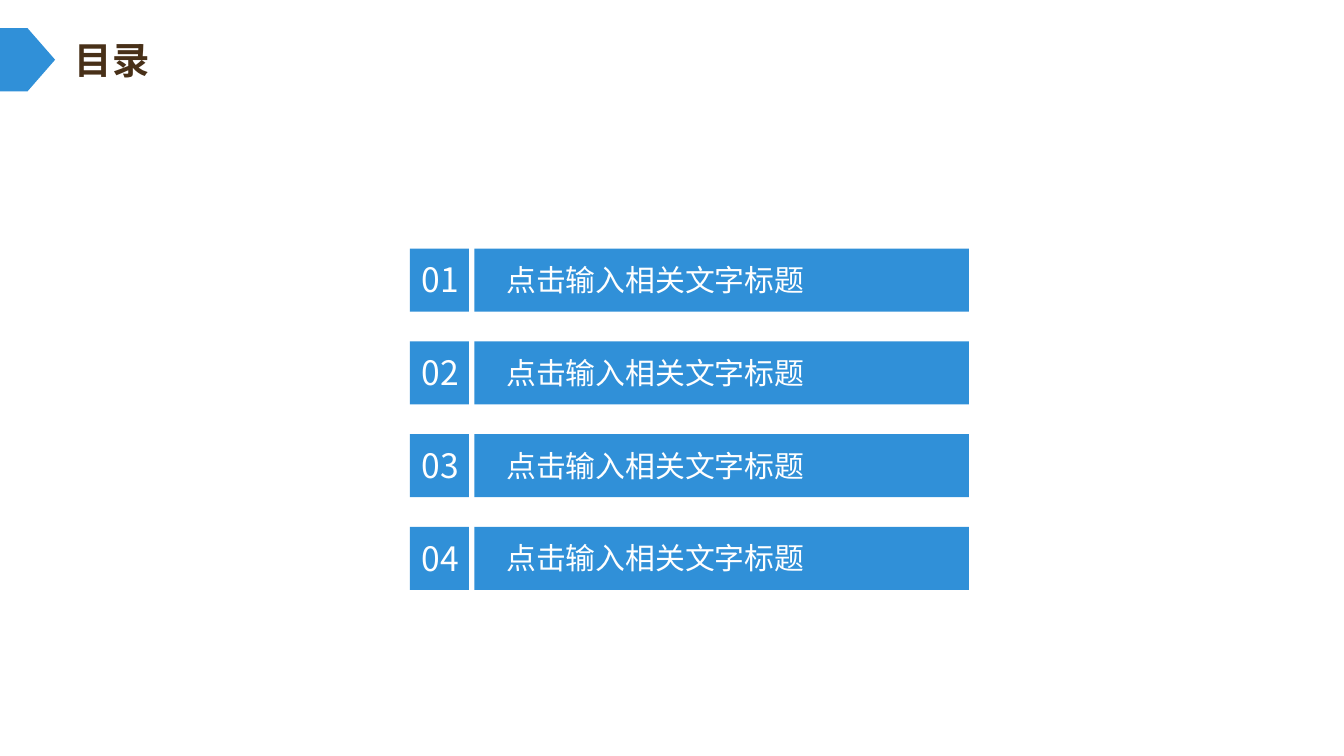
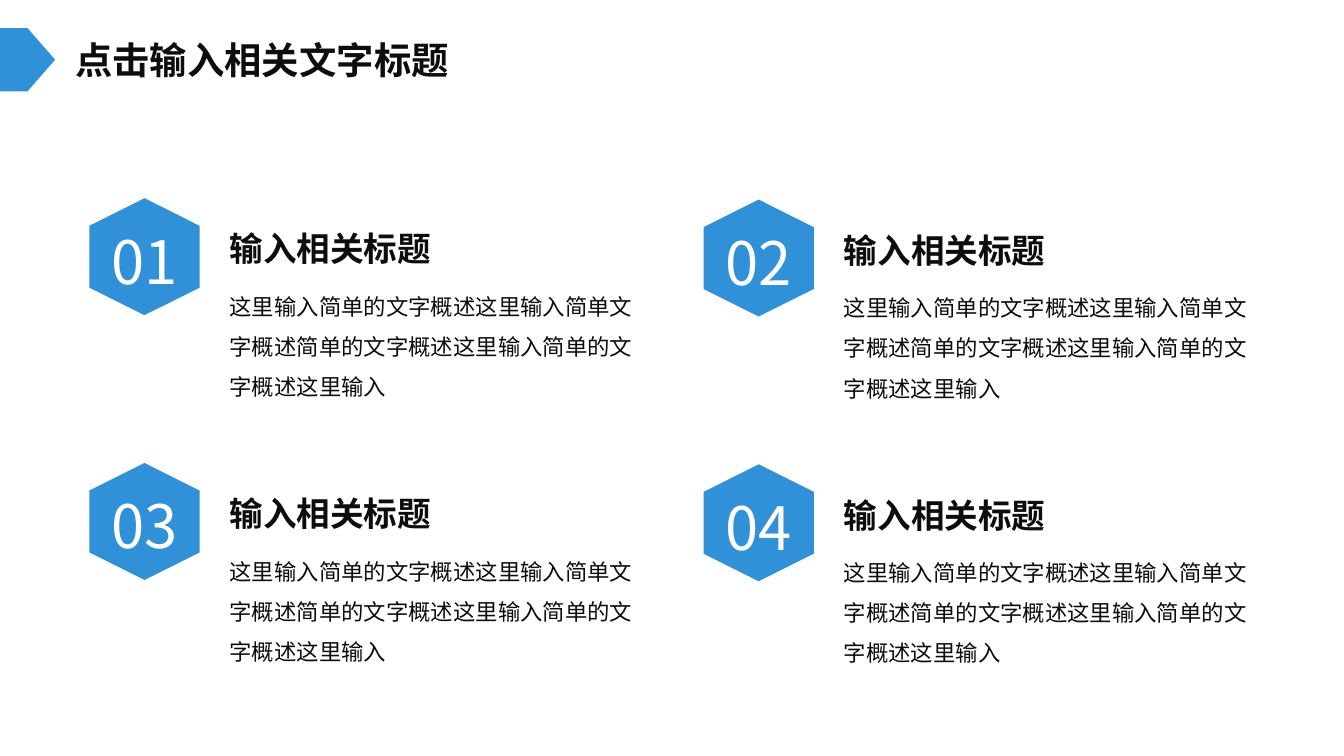
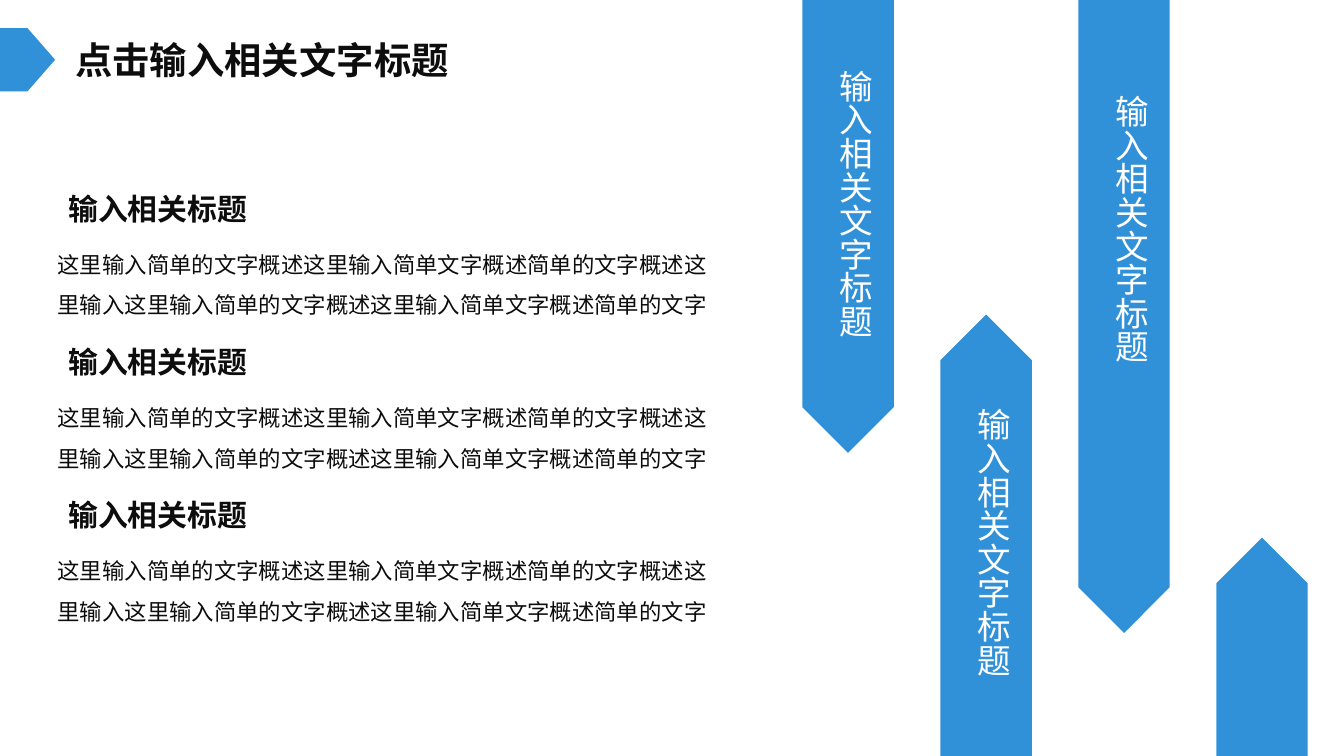
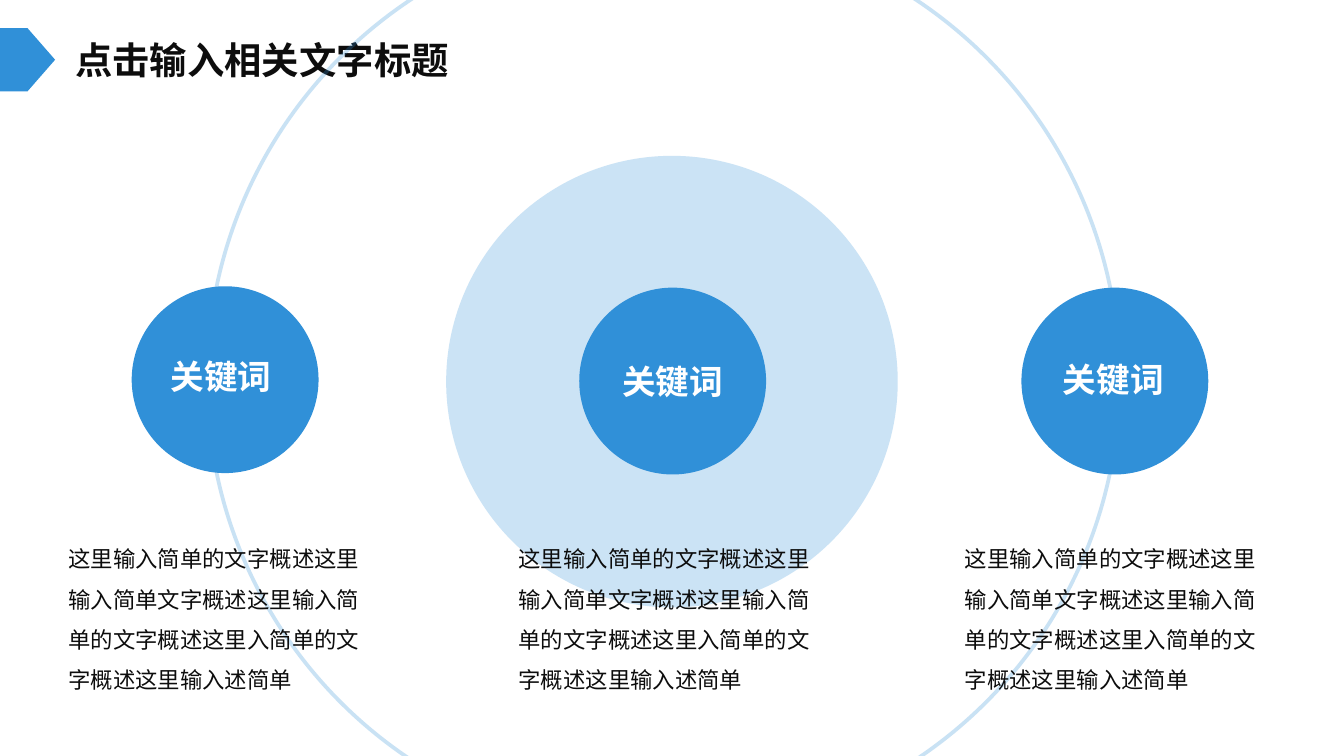
from lxml.etree import SubElement
from pptx import Presentation
from pptx.dml.color import RGBColor
from pptx.enum.shapes import MSO_SHAPE
from pptx.enum.text import MSO_AUTO_SIZE
from pptx.oxml.ns import qn
from pptx.util import Inches, Pt

BLUE = RGBColor(0x30, 0x90, 0xD8)
BROWN = RGBColor(0x48, 0x30, 0x18)
INK = RGBColor(0x0D, 0x0D, 0x0D)
WHITE = RGBColor(0xFF, 0xFF, 0xFF)
FONT = "Noto Sans CJK SC"

TITLE = "点击输入相关文字标题"
HEAD = "输入相关标题"
LABEL = "输入相关文字标题"
KEY = "关键词"
CARD = "这里输入简单的文字概述这里输入简单文字概述简单的文字概述这里输入简单的文字概述这里输入"
NOTE = "这里输入简单的文字概述这里输入简单文字概述简单的文字概述这里输入这里输入简单的文字概述这里输入简单文字概述简单的文字"
BRIEF = "这里输入简单的文字概述这里输入简单文字概述这里输入简单的文字概述这里入简单的文字概述这里输入述简单"


# Shared helpers
def add_text(shapes, text, x, y, w, h, size=12, color=INK, bold=None,
             wrap=True, space=None, vert=None, fill=None):
    box = shapes.add_textbox(Inches(x), Inches(y), Inches(w), Inches(h))
    if fill is not None:
        box.fill.solid()
        box.fill.fore_color.rgb = fill
    frame = box.text_frame
    frame.word_wrap = wrap
    frame.auto_size = MSO_AUTO_SIZE.SHAPE_TO_FIT_TEXT
    if vert:
        frame._txBody.bodyPr.set("vert", vert)
    para = frame.paragraphs[0]
    if space:
        para.line_spacing = space
    run = para.add_run()
    run.text = text
    font = run.font
    font.size, font.bold, font.name = Pt(size), bold, FONT
    font.color.rgb = color
    SubElement(run._r.get_or_add_rPr(), qn("a:ea")).set("typeface", FONT)


def add_form(shapes, kind, x, y, w, h, turn=0):
    form = shapes.add_shape(kind, Inches(x), Inches(y), Inches(w), Inches(h))
    form.shadow.inherit = False
    form.fill.solid()
    form.fill.fore_color.rgb = BLUE
    form.line.fill.background()
    form.rotation = turn
    return form


def fade(form, share):
    for color in form._element.spPr.iter(qn("a:srgbClr")):
        SubElement(color, qn("a:alpha")).set("val", str(share * 1000))


def add_disc(shapes, x, y, size):
    return add_form(shapes, MSO_SHAPE.OVAL, x, y, size, size)


def add_header(shapes, text=TITLE, width=3.01, color=INK):
    add_form(shapes, MSO_SHAPE.PENTAGON, 0, 0.21, 0.41, 0.47)
    add_text(shapes, text, 0.46, 0.23, width, 0.44, size=20, color=color,
             bold=True, wrap=False)


# Contents: numbered bars
def add_entry(shapes, num, x, y):
    add_form(shapes, MSO_SHAPE.RECTANGLE, x, y, 0.44, 0.47)
    add_text(shapes, f"{num:02}", x - 0.01, y + 0.03, 0.5, 0.4, size=18,
             color=WHITE, wrap=False)
    group = shapes.add_group_shape().shapes
    add_form(group, MSO_SHAPE.RECTANGLE, x + 0.48, y, 3.68, 0.47)
    add_text(group, TITLE, x + 0.62, y + 0.05, 2.45, 0.37, size=16,
             color=WHITE, wrap=False)


def build_agenda(shapes):
    for row in range(4):
        add_entry(shapes, row + 1, 3.05, 1.85 + 0.69 * row)
    add_header(shapes, "目录", 0.76, BROWN)


# Cards: two by two, each with a hexagon
def add_card(shapes, num, x, y):
    add_form(shapes, MSO_SHAPE.HEXAGON, x, y, 0.87, 0.82, turn=270)
    add_text(shapes, f"{num:02}", x + 0.09, y + 0.12, 0.73, 0.64, size=32,
             color=WHITE, wrap=False)
    add_text(shapes, CARD, x + 0.97, y + 0.53, 3.23, 1.01, space=1.5)
    add_text(shapes, HEAD, x + 0.97, y + 0.15, 2.21, 0.4, size=18, bold=True)


def build_cards(shapes):
    add_header(shapes)
    for num in range(4):
        row, col = divmod(num, 2)
        add_card(shapes, num + 1, 0.64 + 4.57 * col,
                 1.5 + 1.97 * row + 0.01 * col)


# Strips: notes on the left, upright arrows on the right
def add_note(shapes, x, y):
    add_text(shapes, NOTE, x, y + 0.35, 5.06, 0.67, space=1.5)
    add_text(shapes, HEAD, x + 0.08, y, 2.21, 0.37, size=16, bold=True)


def add_strip(shapes, x, y, length, turn, drop=None):
    width = 0.68
    shift = (length - width) / 2
    group = shapes if drop is None else shapes.add_group_shape().shapes
    add_form(group, MSO_SHAPE.PENTAGON, x - shift, y + shift, length, width,
             turn)
    if drop is not None:
        add_text(group, LABEL, x + 0.09, y + drop, 0.5, 2.12, size=18,
                 color=WHITE, wrap=False, vert="eaVert", fill=BLUE)


def build_strips(shapes):
    add_header(shapes)
    for row in range(3):
        add_note(shapes, 0.33, 1.37 + 1.14 * row)
    strips = [(0, 3.37, 90, 0.42), (2.34, 3.31, 270, 0.6),
              (0, 4.71, 90, 0.61), (4, 1.65, 270, None)]
    for col, (top, length, turn, drop) in enumerate(strips):
        add_strip(shapes, 5.97 + 3.08 * col / 3, top, length, turn, drop)


# Keywords: three discs on a ring
def add_rings(shapes):
    ring = add_disc(shapes, 1.54, -0.57, 6.79)
    ring.fill.background()
    ring.line.color.rgb = BLUE
    ring.line.width = Pt(2)
    fade(ring, 25)
    fade(add_disc(shapes, 3.32, 1.16, 3.36), 25)


def build_keys(shapes):
    add_header(shapes)
    add_rings(shapes)
    # Disc left and top, keyword left and top, text left
    parts = [(0.98, 2.13, 1.17, 2.6, 0.41), (4.31, 2.14, 4.53, 2.64, 3.76),
             (7.6, 2.14, 7.81, 2.62, 7.08)]
    for x, y, key_x, key_y, text_x in parts:
        add_disc(shapes, x, y, 1.39)
        add_text(shapes, KEY, key_x, key_y, 1.02, 0.4, size=18, color=WHITE,
                 bold=True)
        add_text(shapes, BRIEF, text_x, 3.91, 2.48, 1.31, space=1.5)


def main():
    deck = Presentation()
    deck.slide_width = Inches(10)
    deck.slide_height = Inches(10 * 9 / 16)
    for build in (build_agenda, build_cards, build_strips, build_keys):
        build(deck.slides.add_slide(deck.slide_layouts[6]).shapes)
    deck.save("out.pptx")


if __name__ == "__main__":
    main()
